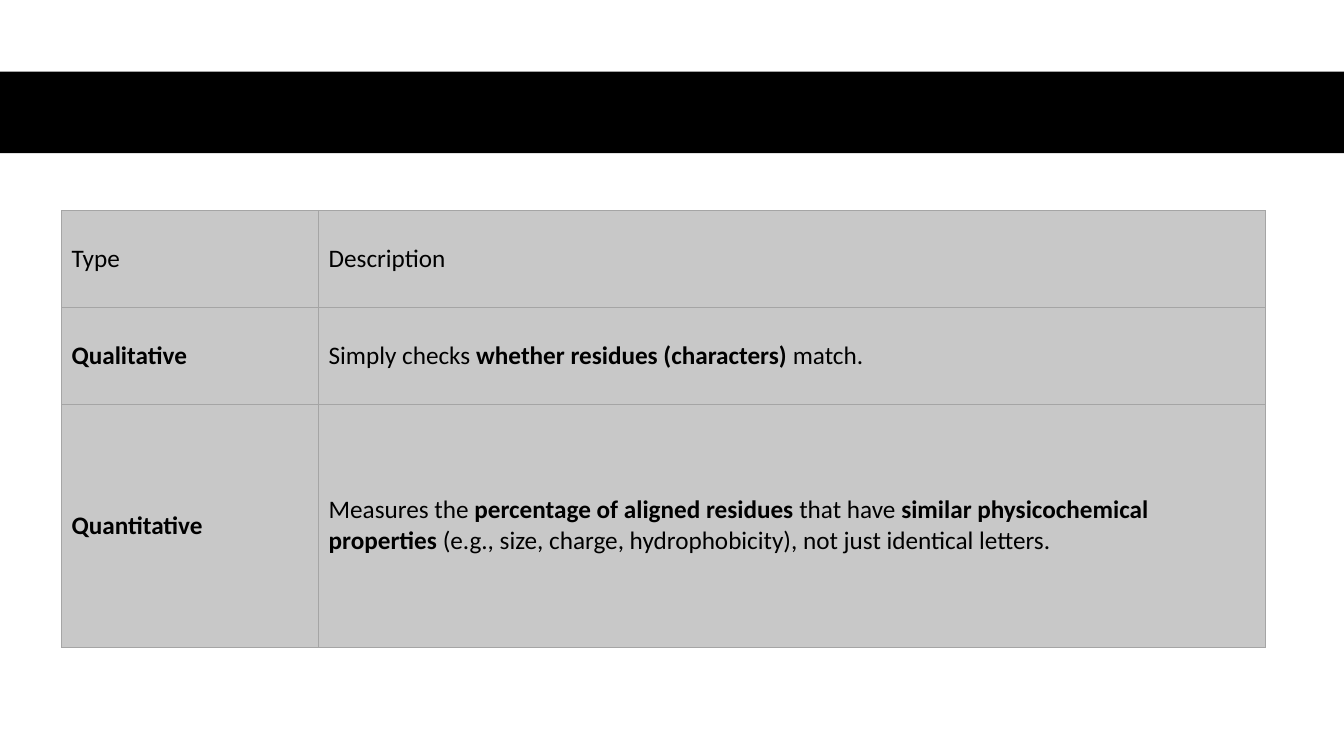
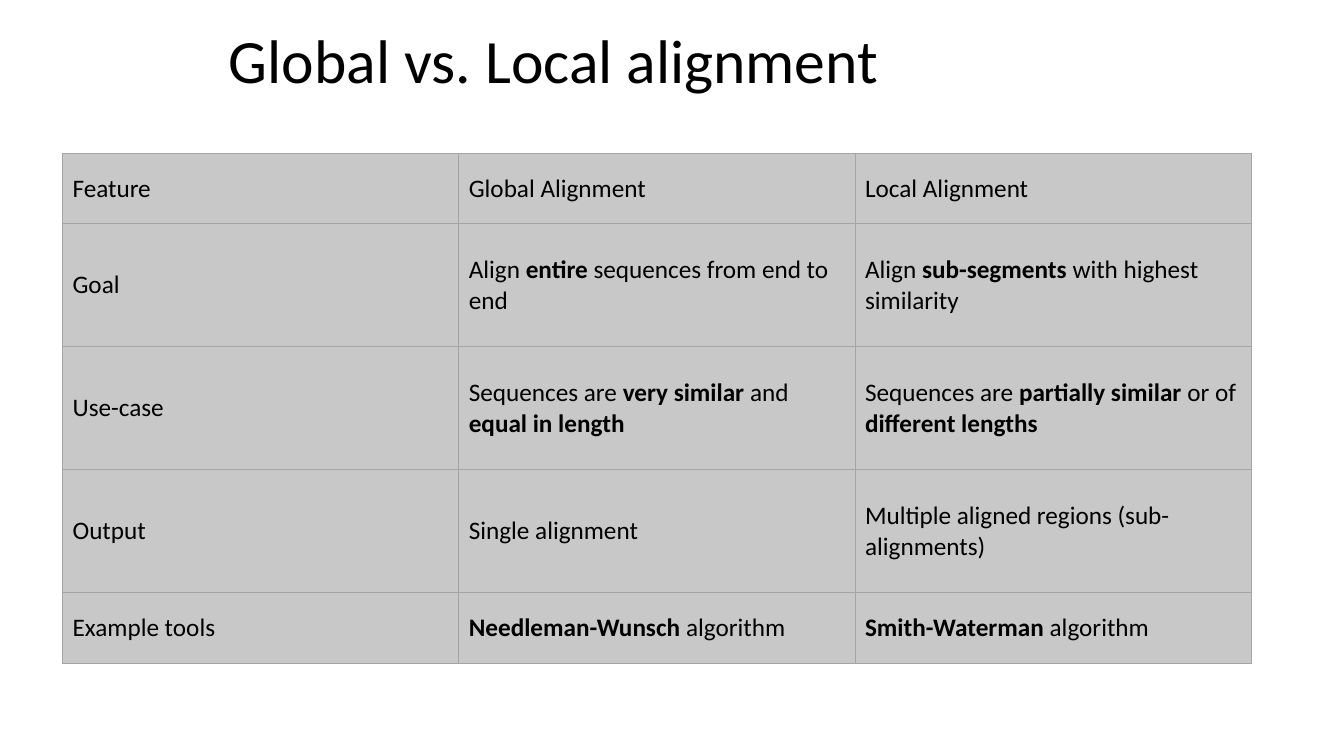
from lxml import etree
from pptx import Presentation
from pptx.dml.color import RGBColor
from pptx.enum.shapes import MSO_SHAPE
from pptx.enum.text import MSO_ANCHOR, MSO_AUTO_SIZE, PP_ALIGN
from pptx.oxml.ns import qn
from pptx.util import Emu, Pt

EMU_PER_PX = 9144  # 100 px to the inch
SLIDE_W, SLIDE_H = 1333, 750
FONT = "Calibri"
COLORS = {"text": "000000", "band": "000000", "cell": "C8C8C8", "border": "A5A5A5"}
TITLE_ONLY, BLANK = 5, 6

SIMILARITY_ROWS = [
    ["Type", "Description"],
    ["**Qualitative**", "Simply checks **whether residues (characters)** match."],
    ["**Quantitative**",
     "Measures the **percentage of aligned residues** that have "
     "**similar physicochemical properties** (e.g., size, charge, "
     "hydrophobicity), not just identical letters."],
]
ALIGNMENT_ROWS = [
    ["Feature", "Global Alignment", "Local Alignment"],
    ["Goal", "Align **entire** sequences from end to end",
     "Align **sub-segments** with highest similarity"],
    ["Use-case", "Sequences are **very similar** and **equal in length**",
     "Sequences are **partially similar** or of **different lengths**"],
    ["Output", "Single alignment", "Multiple aligned regions (sub-alignments)"],
    ["Example tools", "**Needleman-Wunsch** algorithm", "**Smith-Waterman** algorithm"],
]


def px(length):
    return Emu(length * EMU_PER_PX)


def color(key):
    return RGBColor.from_string(COLORS[key])


def write_text(frame, text, size=18, line_spacing=None):
    """Fill the frame with one left-aligned paragraph; **marks** enclose bold."""
    frame.word_wrap = True
    paragraph = frame.paragraphs[0]
    paragraph.alignment = PP_ALIGN.LEFT
    if line_spacing:
        paragraph.line_spacing = line_spacing
    for index, part in enumerate(text.split("**")):
        if part:
            run = paragraph.add_run()
            run.text = part
            font = run.font
            font.name, font.size, font.bold = FONT, Pt(size), index % 2 == 1
            font.color.rgb = color("text")


def add_borders(cell):
    properties = cell._tc.get_or_add_tcPr()
    for side in ("a:lnL", "a:lnR", "a:lnT", "a:lnB"):
        line = etree.SubElement(properties, qn(side), w=str(Pt(0.5)))
        fill = etree.SubElement(line, qn("a:solidFill"))
        etree.SubElement(fill, qn("a:srgbClr"), val=COLORS["border"])


def add_grid(slide, left, top, widths, heights, rows):
    table = slide.shapes.add_table(
        len(heights), len(widths), px(left), px(top),
        px(sum(widths)), px(sum(heights))).table
    table.first_row = table.horz_banding = False
    for column, width in zip(table.columns, widths):
        column.width = px(width)
    for row, height, texts in zip(table.rows, heights, rows):
        row.height = px(height)
        for cell, text in zip(row.cells, texts):
            add_borders(cell)
            cell.fill.solid()
            cell.fill.fore_color.rgb = color("cell")
            cell.vertical_anchor = MSO_ANCHOR.MIDDLE
            write_text(cell.text_frame, text)


def add_band(slide, top, height):
    band = slide.shapes.add_shape(
        MSO_SHAPE.RECTANGLE, 0, px(top), px(SLIDE_W), px(height))
    band.shadow.inherit = False
    band.fill.solid()
    band.fill.fore_color.rgb = color("band")
    band.line.fill.background()


def set_title(slide, text, left, top, width, height):
    title = slide.shapes.title
    title.left, title.top, title.width, title.height = map(px, (left, top, width, height))
    frame = title.text_frame
    frame.auto_size = MSO_AUTO_SIZE.NONE
    frame.vertical_anchor = MSO_ANCHOR.MIDDLE
    write_text(frame, text, size=44, line_spacing=0.9)


def build_similarity_slide(deck):
    slide = deck.slides.add_slide(deck.slide_layouts[BLANK])
    add_band(slide, 71, 81)
    add_grid(slide, 61, 209, [255, 939], [96, 96, 241], SIMILARITY_ROWS)


def build_alignment_slide(deck):
    slide = deck.slides.add_slide(deck.slide_layouts[TITLE_ONLY])
    set_title(slide, "Global vs. Local alignment", 217, 13, 900, 101)
    add_grid(slide, 62, 152, [393] * 3, [70, 122, 122, 122, 70], ALIGNMENT_ROWS)


def main():
    deck = Presentation()
    deck.slide_width, deck.slide_height = px(SLIDE_W), px(SLIDE_H)
    build_similarity_slide(deck)
    build_alignment_slide(deck)
    deck.save("out.pptx")


if __name__ == "__main__":
    main()
